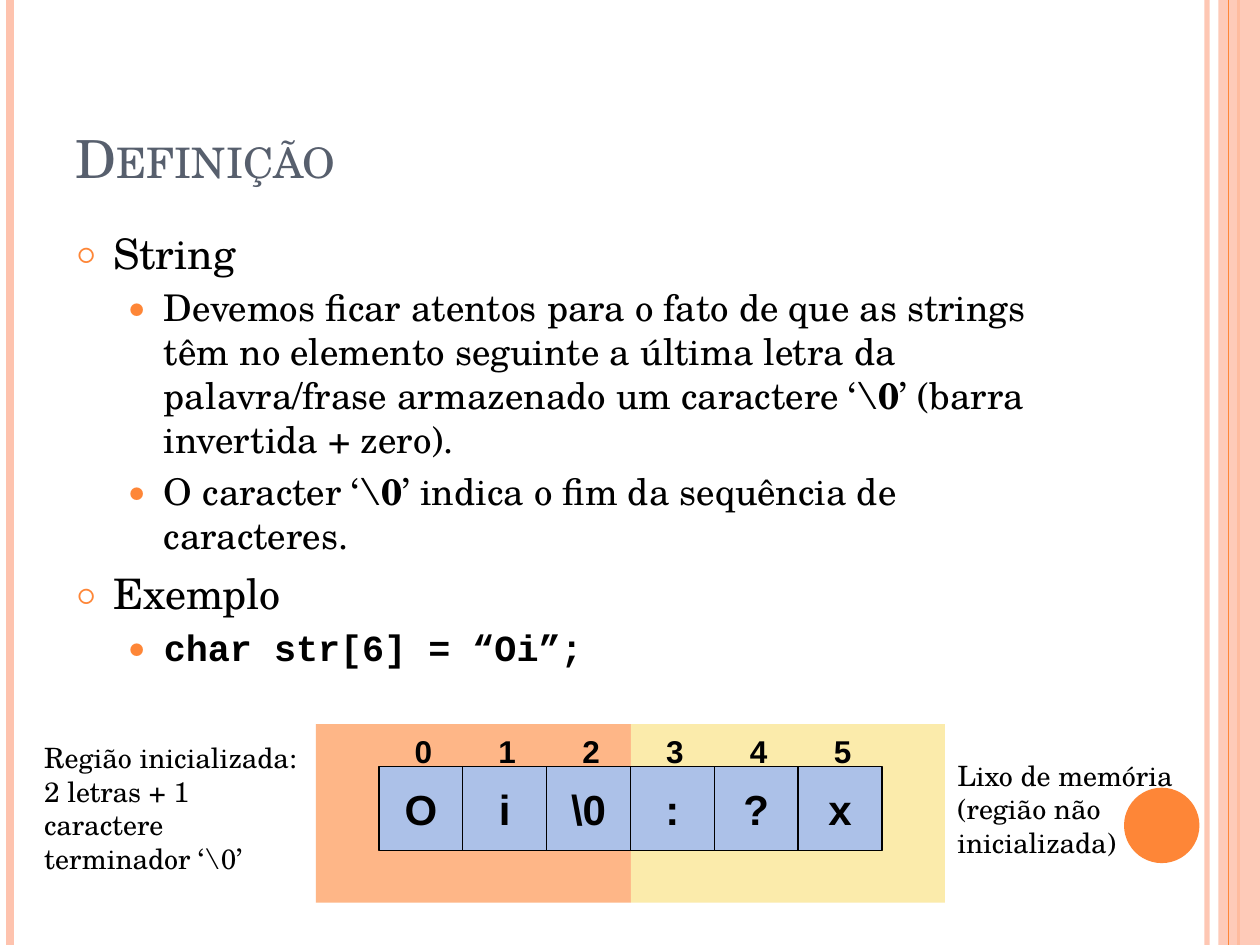
from lxml.etree import SubElement
from pptx import Presentation
from pptx.dml.color import RGBColor
from pptx.enum.shapes import MSO_CONNECTOR, MSO_SHAPE
from pptx.enum.text import MSO_ANCHOR, MSO_AUTO_SIZE, PP_ALIGN
from pptx.oxml.ns import qn
from pptx.util import Cm, Pt

COLORS = {
    "orange": "FE8637", "peach": "FEC3AE", "title": "575F6D", "text": "000000",
    "initialized": "FEB687", "garbage": "FBEBAB", "cell": "ACC1E8",
}
SERIF, SANS, MONO = "TeX Gyre Schola", "Arial", "Courier New"
WIDTH, HEIGHT = 25.4, 19.05

# Per outline level: text size, left margin in cm, bullet, bullet size, space before
LEVELS = [(24, 0.76, "○", 70, Pt(6)), (21, 1.78, "●", 80, None)]
OUTLINE = [
    (0, [("String", SERIF, False)]),
    (1, [("Devemos ficar atentos para o fato de que as strings têm no elemento "
          "seguinte a última letra da palavra/frase armazenado um caractere ‘", SERIF, False),
         ("\\0", SERIF, True),
         ("’ (barra invertida + zero).", SERIF, False)]),
    (1, [("O caracter ‘", SERIF, False),
         ("\\0", SERIF, True),
         ("’ indica o fim da sequência de caracteres.", SERIF, False)]),
    (0, [("Exemplo", SERIF, False)]),
    (1, [("char str[6] = “Oi”;", MONO, True)]),
]
MEMORY = ["O", "i", "\\0", ":", "?", "x"]
CELL_LEFT, CELL_TOP, CELL_SIZE = 7.64, 15.45, 1.69
LABEL_WIDTH = 1.27


def rgb(name):
    return RGBColor.from_string(COLORS[name])


def place(shape, left, top, width, height):
    shape.left, shape.top = Cm(left), Cm(top)
    shape.width, shape.height = Cm(width), Cm(height)


def set_alpha(properties, percent):
    """Make the solid colour found inside an element partly transparent."""
    color = next(properties.iter(qn("a:srgbClr")))
    SubElement(color, qn("a:alpha"), val=str(percent * 1000))


class SlideBuilder:
    def __init__(self, slide):
        self.slide = slide

    def run(self, paragraph, text, size, font=SERIF, color="text", bold=False):
        run = paragraph.add_run()
        run.text = text
        run.font.size, run.font.name, run.font.bold = Pt(size), font, bold
        run.font.color.rgb = rgb(color)
        return run

    def title(self, text, *box):
        shape = self.slide.shapes.title
        place(shape, *box)
        frame = shape.text_frame
        frame.auto_size = MSO_AUTO_SIZE.NONE
        frame.vertical_anchor = MSO_ANCHOR.BOTTOM
        paragraph = frame.paragraphs[0]
        paragraph.alignment = PP_ALIGN.LEFT
        run = self.run(paragraph, text, 30, color="title")
        run.font._element.set("cap", "small")

    def outline(self, items, *box):
        shape = self.slide.placeholders[1]
        place(shape, *box)
        frame = shape.text_frame
        frame.auto_size = MSO_AUTO_SIZE.NONE
        for index, (level, runs) in enumerate(items):
            paragraph = frame.add_paragraph() if index else frame.paragraphs[0]
            size, margin, bullet, bullet_size, space = LEVELS[level]
            paragraph.level = level
            paragraph.space_before = space
            self.bullet(paragraph, margin, bullet, bullet_size)
            for text, font, bold in runs:
                self.run(paragraph, text, size, font, bold=bold)

    def bullet(self, paragraph, margin, character, percent):
        properties = paragraph._p.get_or_add_pPr()
        properties.set("marL", str(Cm(margin)))
        properties.set("indent", str(Cm(-0.76)))
        color = SubElement(properties, qn("a:buClr"))
        SubElement(color, qn("a:srgbClr"), val=COLORS["orange"])
        SubElement(properties, qn("a:buSzPct"), val=str(percent * 1000))
        SubElement(properties, qn("a:buFont"), typeface=SERIF)
        SubElement(properties, qn("a:buChar"), char=character)

    def shape(self, kind, fill, *box, line=None, alpha=None):
        shape = self.slide.shapes.add_shape(kind, *map(Cm, box))
        shape.shadow.inherit = False
        shape.fill.solid()
        shape.fill.fore_color.rgb = rgb(fill)
        if alpha:
            set_alpha(shape._element.spPr, alpha)
        if line:
            shape.line.color.rgb = rgb(line)
            shape.line.width = Pt(0.75)
        else:
            shape.line.fill.background()

    def stripe(self, x, color, width, alpha=None):
        """Draw a vertical line over the full height of the slide."""
        line = self.slide.shapes.add_connector(
            MSO_CONNECTOR.STRAIGHT, Cm(x), Cm(0), Cm(x), Cm(HEIGHT))
        line.line.color.rgb = rgb(color)
        line.line.width = Pt(width)
        if alpha:
            set_alpha(line._element.spPr, alpha)
        SubElement(line._element.spPr, qn("a:effectLst"))

    def text(self, text, size, *box, font=SERIF, bold=False, align=PP_ALIGN.LEFT):
        frame = self.slide.shapes.add_textbox(*map(Cm, box)).text_frame
        frame.word_wrap = True
        frame.auto_size = MSO_AUTO_SIZE.SHAPE_TO_FIT_TEXT
        paragraph = frame.paragraphs[0]
        paragraph.alignment = align
        self.run(paragraph, text, size, font, bold=bold)

    def label(self, text, size, left, top, height):
        self.text(text, size, left, top, LABEL_WIDTH, height,
                  font=SANS, bold=True, align=PP_ALIGN.CENTER)


def main():
    presentation = Presentation()
    presentation.slide_width, presentation.slide_height = Cm(WIDTH), Cm(HEIGHT)
    builder = SlideBuilder(presentation.slides.add_slide(presentation.slide_layouts[1]))

    builder.stripe(24.33, "peach", 3, alpha=93)
    builder.stripe(0.2, "peach", 4.5)
    builder.stripe(24.97, "orange", 1.5)
    builder.shape(MSO_SHAPE.RECTANGLE, "peach", 24.56, 0, 0.84, HEIGHT, alpha=87)
    builder.stripe(24.77, "orange", 0.75)
    builder.shape(MSO_SHAPE.OVAL, "orange", 22.66, 15.88, 1.52, 1.52)

    builder.title("Definição", 1.27, 0.76, 20.75, 3.18)
    builder.outline(OUTLINE, 1.27, 4.45, 20.75, 13.54)

    builder.shape(MSO_SHAPE.RECTANGLE, "initialized", 6.37, 14.6, 6.35, 3.6)
    builder.shape(MSO_SHAPE.RECTANGLE, "garbage", 12.72, 14.6, 6.33, 3.6)
    for index, character in enumerate(MEMORY):
        left = CELL_LEFT + index * CELL_SIZE
        builder.shape(MSO_SHAPE.RECTANGLE, "cell", left, CELL_TOP,
                      CELL_SIZE, CELL_SIZE, line="text")
        builder.label(character, 24, left + (CELL_SIZE - LABEL_WIDTH) / 2, 15.67, 1.27)
        builder.label(str(index), 18, left + 0.26, 14.63, 1.02)

    builder.text("Região inicializada: 2 letras + 1 caractere terminador ‘\\0’", 16,
                 0.64, 14.81, 5.72, 3)
    builder.text("Lixo de memória (região não inicializada)", 16, 19.05, 15.16, 5.72, 2.31)

    presentation.save("out.pptx")


if __name__ == "__main__":
    main()
